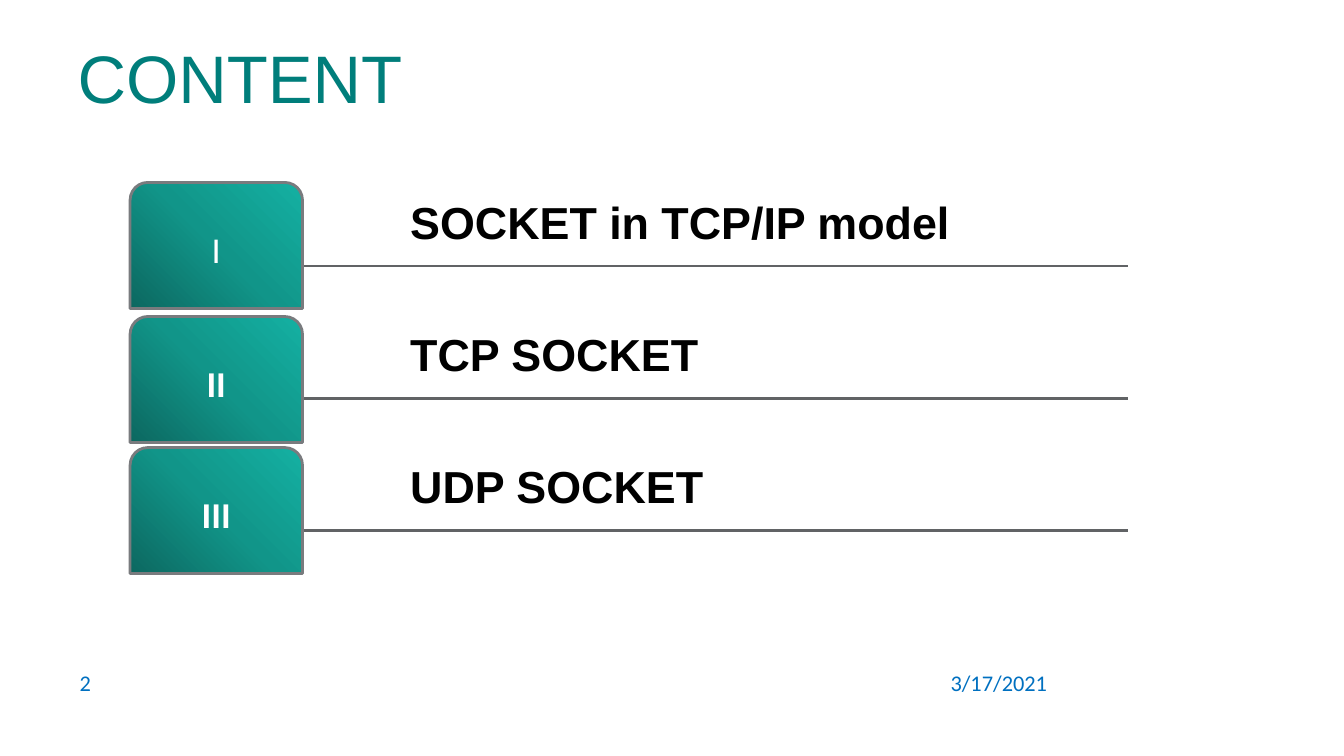
from pptx import Presentation
from pptx.dml.color import RGBColor
from pptx.enum.shapes import MSO_CONNECTOR, MSO_SHAPE
from pptx.enum.text import MSO_ANCHOR as ANCHOR, PP_ALIGN as ALIGN
from pptx.oxml import parse_xml
from pptx.oxml.ns import nsdecls
from pptx.util import Inches, Pt
from lxml.etree import SubElement

color = RGBColor.from_string

SECTIONS = [  # numeral, bold numeral, heading, heading width, tab top
    ("I", False, "SOCKET in TCP/IP model", 8.7, 1.81),
    ("II", True, "TCP SOCKET", 7.22, 3.14),
    ("III", True, "UDP SOCKET", 7.22, 4.44),
]
FIRST_RULE, ROW_STEP, HEADING_HEIGHT = 2.64, 1.31, 1.25
GRADIENT = f"""<a:gradFill {nsdecls('a')} rotWithShape="1"><a:gsLst>
<a:gs pos="0"><a:srgbClr val="0C6860"/></a:gs>
<a:gs pos="50000"><a:srgbClr val="119589"/></a:gs>
<a:gs pos="100000"><a:srgbClr val="14B0A2"/></a:gs></a:gsLst>
<a:path path="circle"><a:fillToRect t="100000" r="100000"/></a:path></a:gradFill>"""


def write(shape, text, size, font, hue, bold=False, align=ALIGN.LEFT, anchor=ANCHOR.MIDDLE):
    frame = shape.text_frame
    frame.word_wrap = True
    frame.vertical_anchor = anchor
    paragraph = frame.paragraphs[0]
    paragraph.alignment = align
    run = paragraph.add_run()
    run.text = text
    for name, value in {"size": Pt(size), "name": font, "bold": bold}.items():
        setattr(run.font, name, value)
    run.font.color.rgb = color(hue)
    return frame


def box(left, top, width, height):
    return [Inches(length) for length in (left, top, width, height)]


deck = Presentation()
deck.slide_width, deck.slide_height = Inches(13.33), Inches(7.5)
slide = deck.slides.add_slide(deck.slide_layouts[5])
shapes = slide.shapes

title = shapes.title
title.left, title.top, title.width, title.height = box(0.67, 0.14, 12, 1.25)
write(title, "CONTENT", 48, "Arial", "007E7B")

for text, left, width, align in [("3/17/2021", 9.33, 1.56, ALIGN.LEFT),
                                 ("2", 0.33, 0.67, ALIGN.RIGHT)]:
    footer = shapes.add_textbox(*box(left, 6.57, width, 0.4))
    write(footer, text, 16, "Calibri", "0070C0", align=align)

for row, (numeral, bold, heading, width, tab_top) in enumerate(SECTIONS):
    rule_y = FIRST_RULE + row * ROW_STEP
    rule = shapes.add_connector(MSO_CONNECTOR.STRAIGHT, *box(1.43, rule_y, 11.19, rule_y))
    rule.line.color.rgb = color("616365")
    rule.line.width = Pt(2)
    SubElement(rule._element.spPr, "{http://schemas.openxmlformats.org/drawingml/2006/main}effectLst")

    label = shapes.add_textbox(*box(3.97, rule_y - HEADING_HEIGHT, width, HEADING_HEIGHT))
    frame = write(label, heading, 32, "Arial", "000000", bold=True, anchor=ANCHOR.BOTTOM)
    frame.margin_bottom = Inches(0.18)

    tab = shapes.add_shape(MSO_SHAPE.ROUND_2_SAME_RECTANGLE, *box(1.29, tab_top, 1.71, 1.25))
    tab.shadow.inherit = False
    tab.adjustments[0] = 0.14
    tab._element.spPr.insert(2, parse_xml(GRADIENT))
    tab.line.color.rgb = color("797B7E")
    tab.line.width = Pt(2)
    frame = write(tab, numeral, 26, "Calibri", "FFFFFF", bold=bold, align=ALIGN.CENTER)
    frame.paragraphs[0].line_spacing = 0.9
    for side, margin in {"left": 0.12, "top": 0.12, "right": 0.12, "bottom": 0.05}.items():
        setattr(frame, f"margin_{side}", Inches(margin))

deck.save("out.pptx")
